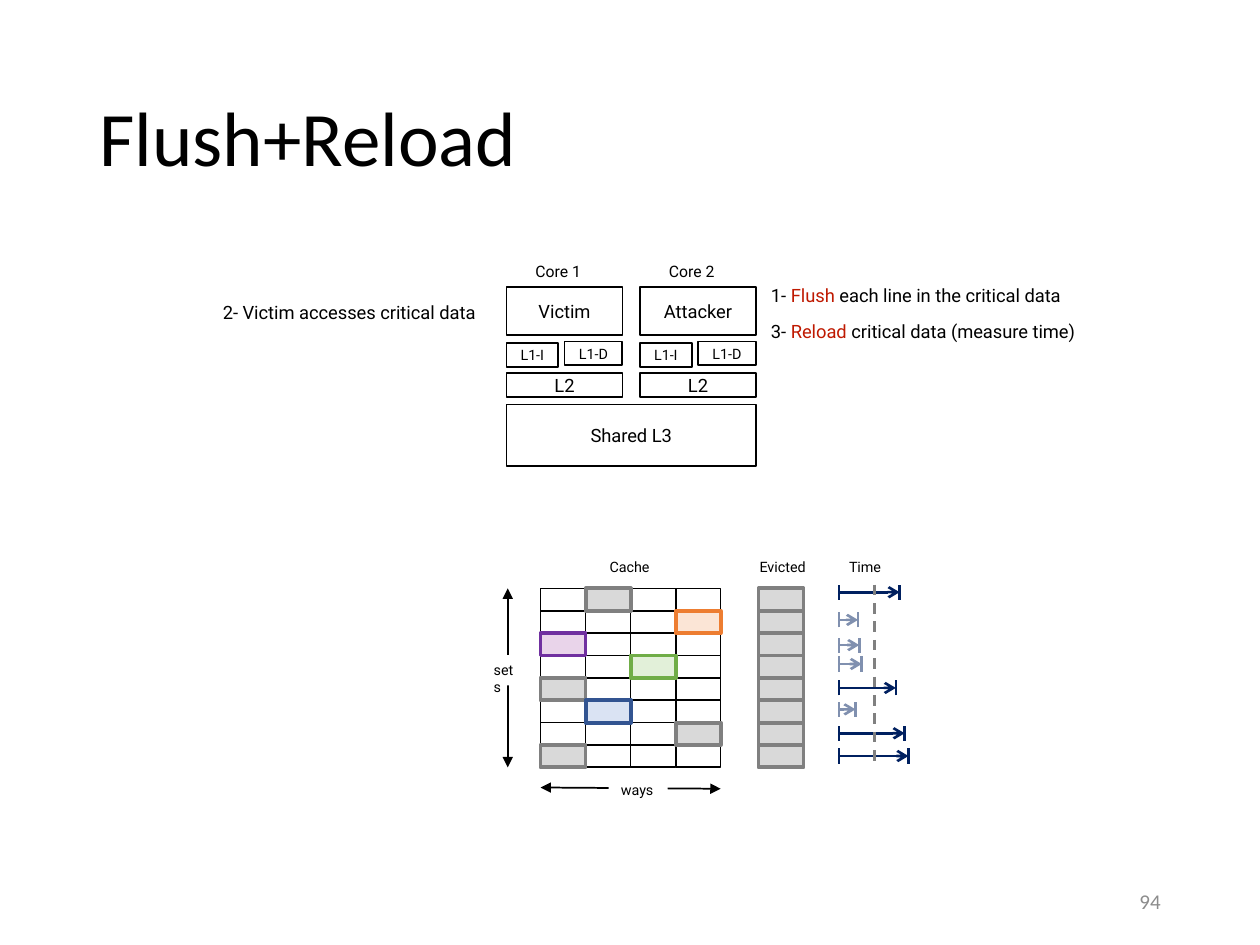
from lxml import etree
from pptx import Presentation
from pptx.dml.color import RGBColor
from pptx.enum.dml import MSO_LINE
from pptx.enum.shapes import MSO_CONNECTOR, MSO_SHAPE
from pptx.enum.text import MSO_ANCHOR, PP_ALIGN
from pptx.oxml.ns import qn
from pptx.util import Inches, Pt

RECT = MSO_SHAPE.RECTANGLE
STRAIGHT = MSO_CONNECTOR.STRAIGHT
DASH = MSO_LINE.DASH
LEFT, CENTER, RIGHT = PP_ALIGN.LEFT, PP_ALIGN.CENTER, PP_ALIGN.RIGHT
TOP, MIDDLE = MSO_ANCHOR.TOP, MSO_ANCHOR.MIDDLE

BLACK, WHITE, RED = "000000", "FFFFFF", "BF1901"
NAVY, PALE_NAVY = "002060", "8090AF"
GRAY, LIGHT_GRAY = "808080", "D9D9D9"
EVICTED = (LIGHT_GRAY, GRAY)

ROWS, COLS = 8, 4
GRID_X, GRID_Y, GRID_W, GRID_H = 4.29, 4.67, 1.43, 1.42
CELL_W, CELL_H = GRID_W / COLS, GRID_H / ROWS
USED_CELLS = {  # (row, column): (fill, border)
    (0, 1): EVICTED,
    (1, 3): ("FBE5D6", "ED7D31"),
    (2, 0): ("E9D4EA", "7030A0"),
    (3, 2): ("E2F0D9", "70AD47"),
    (4, 0): EVICTED,
    (5, 1): ("DAE3F3", "325491"),
    (6, 3): EVICTED,
    (7, 0): EVICTED,
}
EVICTED_X = 6.02

TIME_X, THRESHOLD_X = 6.66, 6.94
TIMINGS = [(4.7, 7.14), (4.92, 6.81), (5.12, 6.82), (5.27, 6.84),
           (5.46, 7.11), (5.63, 6.79), (5.82, 7.18), (6, 7.21)]  # (y, end x)

CORE_X, CORE_W, CORE_STEP = 4.02, 0.92, 1.06


def rgb(color):
    return RGBColor.from_string(color)


def write(sp, runs, size, align=LEFT, anchor=TOP, wrap=True, font="Roboto"):
    """Fill a shape with one paragraph of (text, colour) runs."""
    tf = sp.text_frame
    tf.word_wrap, tf.vertical_anchor = wrap, anchor
    p = tf.paragraphs[0]
    p.alignment = align
    p.font.size, p.font.name = Pt(size), font
    for text, color in runs:
        r = p.add_run()
        r.text = text
        r.font.color.rgb = rgb(color)
    return p


def add_text(s, x, y, w, h, runs, size, **style):
    sp = s.shapes.add_textbox(Inches(x), Inches(y), Inches(w), Inches(h))
    return write(sp, runs, size, **style)


def add_rect(s, x, y, w, h, fill=None, line=None, weight=1):
    sp = s.shapes.add_shape(RECT, Inches(x), Inches(y), Inches(w), Inches(h))
    sp.shadow.inherit = False
    if fill:
        sp.fill.solid()
        sp.fill.fore_color.rgb = rgb(fill)
    else:
        sp.fill.background()
    if line:
        sp.line.color.rgb = rgb(line)
        sp.line.width = Pt(weight)
    else:
        sp.line.fill.background()
    return sp


def add_block(s, x, y, w, h, text, size=10.5):
    sp = add_rect(s, x, y, w, h, WHITE, BLACK)
    tf = sp.text_frame
    tf.margin_left = tf.margin_right = tf.margin_top = tf.margin_bottom = 0
    write(sp, [(text, BLACK)], size, align=CENTER, anchor=MIDDLE, wrap=False)


def add_line(s, x1, y1, x2, y2, color, weight, head=None, tail=None, dash=None):
    """Draw a line; head is the arrowhead at its start, tail at its end."""
    ln = s.shapes.add_connector(STRAIGHT, Inches(x1), Inches(y1), Inches(x2), Inches(y2))
    ln.line.color.rgb = rgb(color)
    ln.line.width = Pt(weight)
    if dash:
        ln.line.dash_style = dash
    sp_pr = ln._element.spPr
    for tag, kind in (("a:headEnd", head), ("a:tailEnd", tail)):
        if kind:
            etree.SubElement(sp_pr.find(qn("a:ln")), qn(tag), type=kind)
    etree.SubElement(sp_pr, qn("a:effectLst"))


def add_cell(s, x, row, colors):
    add_rect(s, x, GRID_Y + row * CELL_H, CELL_W, CELL_H, *colors, weight=2.25)


def add_core(s, number, role):
    x = CORE_X + (number - 1) * CORE_STEP
    add_text(s, x + 0.12, 2.03, 0.58, 0.25, [(f"Core {number}", BLACK)], 9,
             align=CENTER, wrap=False)
    add_block(s, x, 2.28, CORE_W, 0.38, role)
    add_block(s, x, 2.72, 0.41, 0.19, "L1-I", 8.2)
    add_block(s, x + 0.46, 2.71, 0.46, 0.19, "L1-D", 8.2)
    add_block(s, x, 2.96, CORE_W, 0.19, "L2")


def add_steps(s):
    for x, y, w, runs in [
        (6.02, 2.2, 2.62, [("1-", BLACK), (" Flush ", RED),
                           ("each line in the critical data", BLACK)]),
        (1.67, 2.34, 2.32, [("2- Victim accesses critical data", BLACK)]),
        (6.02, 2.49, 2.85, [("3-", BLACK), (" Reload ", RED),
                            ("critical data (measure time)", BLACK)]),
    ]:
        add_text(s, x, y, w, 0.28, runs, 10.5, anchor=MIDDLE)


def add_cache(s):
    for x, w, text in [(4.74, 0.54, "Cache"), (5.93, 0.58, "Evicted"), (6.64, 0.46, "Time")]:
        add_text(s, x, 4.38, w, 0.24, [(text, BLACK)], 8.2, wrap=False)
    for row in range(ROWS):
        for col in range(COLS):
            if (row, col) not in USED_CELLS:
                add_rect(s, GRID_X + col * CELL_W, GRID_Y + row * CELL_H,
                         CELL_W, CELL_H, line=BLACK)
        add_cell(s, EVICTED_X, row, EVICTED)
    for (row, col), colors in USED_CELLS.items():
        add_cell(s, GRID_X + col * CELL_W, row, colors)


def add_dimensions(s):
    ends = {"head": "triangle", "tail": "triangle"}
    add_line(s, GRID_X, 6.25, GRID_X + GRID_W, 6.26, BLACK, 1, **ends)
    add_line(s, 4.03, GRID_Y, 4.03, GRID_Y + GRID_H, BLACK, 1, **ends)
    for x, y, w, text, wrap in [(4.83, 6.15, 0.47, "ways", False), (3.82, 5.2, 0.41, "sets", True)]:
        write(add_rect(s, x, y, w, 0.24, WHITE), [(text, BLACK)], 8.2, wrap=wrap)


def add_timings(s):
    for y, end in TIMINGS:
        color = NAVY if end > THRESHOLD_X else PALE_NAVY
        add_line(s, TIME_X, y, end, y, color, 1.5, tail="arrow")
        for x in (TIME_X, end):
            add_line(s, x, y + 0.06, x, y - 0.06, color, 1.5)
    add_line(s, THRESHOLD_X, 4.64, THRESHOLD_X, 6.07, GRAY, 1.5, dash=DASH)


def main():
    prs = Presentation()
    prs.slide_width, prs.slide_height = Inches(10), Inches(7.5)
    s = prs.slides.add_slide(prs.slide_layouts[6])
    title = add_text(s, 0.69, 0.4, 8.62, 1.45, [("Flush+Reload", BLACK)], 44,
                     anchor=MIDDLE, font="Calibri")
    title.line_spacing = 0.9
    add_core(s, 1, "Victim")
    add_core(s, 2, "Attacker")
    add_block(s, CORE_X, 3.21, CORE_STEP + CORE_W, 0.49, "Shared L3")
    add_steps(s)
    add_cache(s)
    add_dimensions(s)
    add_timings(s)
    add_text(s, 7.06, 6.95, 2.25, 0.4, [("94", "8C8C8C")], 12,
             align=RIGHT, anchor=MIDDLE, font="Calibri")
    prs.save("out.pptx")


if __name__ == "__main__":
    main()
